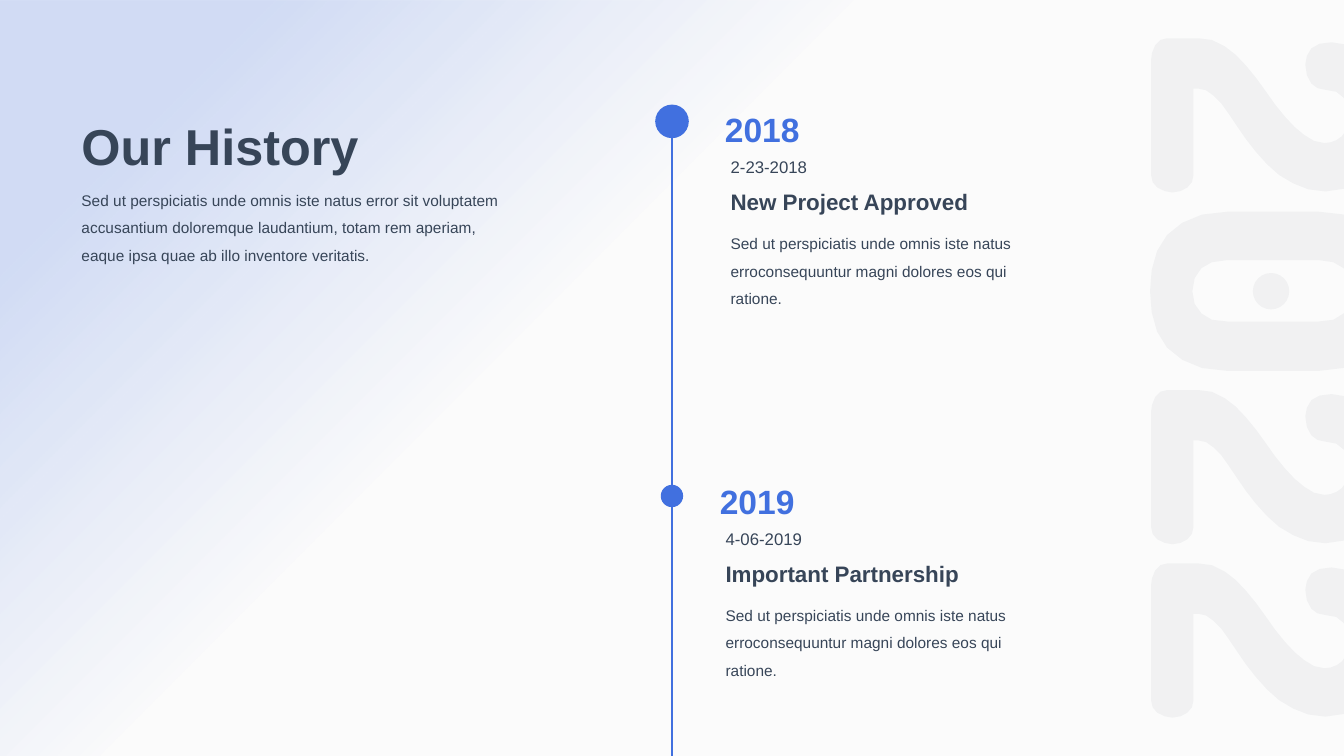
from dataclasses import dataclass
from typing import Iterator, NamedTuple

from lxml.etree import SubElement
from pptx import Presentation
from pptx.dml.color import RGBColor
from pptx.enum.shapes import MSO_CONNECTOR as Connector, MSO_SHAPE as Preset
from pptx.enum.text import MSO_ANCHOR as Anchor, MSO_AUTO_SIZE as AutoSize, PP_ALIGN as Align
from pptx.oxml.ns import qn
from pptx.shapes.base import BaseShape
from pptx.slide import Slide
from pptx.util import Pt

@dataclass(frozen=True)
class Theme:
    background: RGBColor = RGBColor(0xFB, 0xFB, 0xFB)
    accent: RGBColor = RGBColor(0x41, 0x70, 0xDF)
    ink: RGBColor = RGBColor(0x37, 0x45, 0x58)
    font: str = "Arial"
    title: int = 36
    year: int = 24
    heading: int = 16
    date: int = 12
    body: int = 11

THEME = Theme()
WIDTH, HEIGHT, AXIS_X = 960, 540, 480
DIGIT_UNIT = 0.72  # points per outline unit
CURVE_STEPS = 2

class Box(NamedTuple):
    left: float
    top: float
    width: float
    height: float

class Event(NamedTuple):
    left: float
    top: float
    dot_y: float
    dot_size: float
    year: str
    date: str
    heading: str
    detail: str

class TextStyle(NamedTuple):
    size: int
    color: RGBColor = THEME.ink
    bold: bool = False
    line_spacing: float = 1.0
    anchor: Anchor = Anchor.TOP

TITLE_STYLE = TextStyle(THEME.title, bold=True)
BODY_STYLE = TextStyle(THEME.body, line_spacing=1.5)
YEAR_STYLE = TextStyle(THEME.year, THEME.accent, bold=True, anchor=Anchor.BOTTOM)
DATE_STYLE = TextStyle(THEME.date, anchor=Anchor.MIDDLE)
HEADING_STYLE = TextStyle(THEME.heading, bold=True)

INTRO = ("Sed ut perspiciatis unde omnis iste natus error sit voluptatem accusantium doloremque "
         "laudantium, totam rem aperiam, eaque ipsa quae ab illo inventore veritatis.")
DETAIL = "Sed ut perspiciatis unde omnis iste natus erroconsequuntur magni dolores eos qui ratione."
EVENTS = (
    Event(514.8, 74.9, 86.7, 24, "2018", "2-23-2018", "New Project Approved", DETAIL),
    Event(511.2, 340.6, 354.3, 16, "2019", "4-06-2019", "Important Partnership", DETAIL),
)

# Outlines: a start point, then curves (six numbers) or straight lines (two numbers).
Outline = list[tuple[float, ...]]
TWO: Outline = [
    (1383, 115), (1383, 128, 1381, 140, 1375, 151), (1370, 163, 1362, 172, 1352, 179),
    (1341, 186, 1329, 190, 1315, 190), (1303, 190, 1292, 187, 1283, 182), (1273, 177, 1264, 171, 1257, 163),
    (1249, 155, 1242, 146, 1236, 138), (1230, 129, 1224, 121, 1219, 113), (1214, 105, 1209, 99, 1204, 95),
    (1199, 90, 1194, 88, 1189, 88), (1184, 88), (1184, 174), (1184, 179, 1182, 183, 1178, 186),
    (1174, 189, 1169, 191, 1163, 191), (1158, 191, 1153, 189, 1148, 186), (1144, 183, 1142, 179, 1142, 174),
    (1142, 59), (1142, 55, 1143, 51, 1146, 45), (1149, 40, 1153, 38, 1158, 38), (1189, 38),
    (1198, 38, 1207, 40, 1215, 46), (1222, 51, 1230, 57, 1236, 65), (1243, 73, 1250, 82, 1256, 91),
    (1262, 100, 1268, 108, 1275, 116), (1281, 123, 1288, 130, 1294, 134), (1300, 139, 1307, 142, 1314, 142),
    (1318, 142, 1322, 141, 1326, 139), (1330, 137, 1333, 134, 1335, 130), (1338, 126, 1339, 121, 1339, 115),
    (1339, 108, 1337, 102, 1333, 97), (1330, 92, 1323, 89, 1314, 89), (1309, 89, 1305, 87, 1301, 83),
    (1297, 78, 1295, 72, 1295, 64), (1295, 58, 1297, 53, 1301, 48), (1305, 44, 1312, 42, 1321, 42),
    (1334, 42, 1345, 46, 1354, 53), (1364, 59, 1371, 68, 1376, 79), (1381, 91, 1383, 102, 1383, 115),
]
ZERO_OUTER: Outline = [
    (1384, 289), (1384, 303, 1382, 317, 1377, 329), (1372, 341, 1363, 350, 1352, 357),
    (1341, 364, 1326, 368, 1308, 368), (1218, 368), (1199, 368, 1184, 364, 1173, 357),
    (1161, 350, 1153, 341, 1148, 329), (1143, 317, 1141, 303, 1141, 289), (1141, 274, 1143, 261, 1148, 249),
    (1153, 237, 1161, 228, 1173, 221), (1184, 214, 1199, 210, 1218, 210), (1308, 210),
    (1326, 210, 1341, 214, 1352, 220), (1363, 227, 1372, 237, 1377, 249), (1382, 261, 1384, 274, 1384, 289),
]
ZERO_INNER: Outline = [
    (1341, 289), (1341, 279, 1339, 272, 1333, 266), (1328, 261, 1319, 258, 1308, 258), (1218, 258),
    (1206, 258, 1197, 261, 1192, 266), (1186, 272, 1183, 279, 1183, 289), (1183, 298, 1186, 306, 1192, 311),
    (1197, 317, 1206, 319, 1218, 319), (1308, 319), (1319, 319, 1328, 317, 1333, 311),
    (1339, 306, 1341, 298, 1341, 289),
]
DIGITS = (([TWO], 0), ([ZERO_OUTER, ZERO_INNER], 0), ([TWO], 349), ([TWO], 521))

def set_alpha(shape: BaseShape, *percents: int) -> None:
    for color, percent in zip(shape._element.spPr.iter(qn("a:srgbClr")), percents):
        SubElement(color, qn("a:alpha")).set("val", str(percent * 1000))

def paint(shape: BaseShape, color: RGBColor) -> None:
    shape.shadow.inherit = False
    shape.fill.solid()
    shape.fill.fore_color.rgb = color
    shape.line.fill.background()

def write_text(shape: BaseShape, box: Box, text: str, style: TextStyle) -> None:
    shape.left, shape.top, shape.width, shape.height = map(Pt, box)
    frame = shape.text_frame
    frame.word_wrap = True
    frame.auto_size = AutoSize.SHAPE_TO_FIT_TEXT
    frame.vertical_anchor = style.anchor
    paragraph = frame.paragraphs[0]
    paragraph.text = text
    paragraph.alignment = Align.LEFT
    paragraph.line_spacing = style.line_spacing
    paragraph.space_before = Pt(0)
    if shape.is_placeholder:
        properties = paragraph._p.get_or_add_pPr()
        properties.set("marL", "0")
        properties.set("indent", "0")
        SubElement(properties, qn("a:buNone"))
    font = paragraph.font
    font.name, font.size, font.bold = THEME.font, Pt(style.size), style.bold
    font.color.rgb = style.color

def add_text(slide: Slide, box: Box, text: str, style: TextStyle) -> BaseShape:
    shape = slide.shapes.add_textbox(*map(Pt, box))
    write_text(shape, box, text, style)
    return shape

def add_dot(slide: Slide, x: float, y: float, size: float, color: RGBColor) -> BaseShape:
    dot = slide.shapes.add_shape(Preset.OVAL, *map(Pt, (x - size / 2, y - size / 2, size, size)))
    paint(dot, color)
    return dot

def add_gradient(slide: Slide) -> None:
    """Lay a diagonal wash behind everything else."""
    wash = slide.shapes.add_shape(Preset.RECTANGLE, 0, 0, Pt(WIDTH), Pt(HEIGHT))
    paint(wash, THEME.accent)
    wash.fill.gradient()
    wash.fill.gradient_angle = 315
    for stop, position in zip(wash.fill.gradient_stops, (0.13, 0.41)):
        stop.color.rgb, stop.position = THEME.accent, position
    set_alpha(wash, 22, 0)
    slide.shapes._spTree.insert(2, wash._element)

def trace(outline: Outline, offset: float) -> Iterator[tuple[int, int]]:
    """Yield the points of an outline, with its curves cut into short lines."""
    start = outline[0]
    for segment in outline:
        points = [start, *zip(segment[::2], segment[1::2])]
        is_curve = len(points) == 4
        for step in range(1, CURVE_STEPS + 1) if is_curve else (CURVE_STEPS,):
            t = step / CURVE_STEPS
            weights = ((1 - t) ** 3, 3 * t * (1 - t) ** 2, 3 * t * t * (1 - t), t ** 3) if is_curve else (0, 1)
            x, y = (sum(w * point[axis] for w, point in zip(weights, points)) for axis in (0, 1))
            yield Pt(x * DIGIT_UNIT), Pt((y + offset) * DIGIT_UNIT)
        start = points[-1]

def add_digit(slide: Slide, outlines: list[Outline], offset: float) -> None:
    outer, *holes = [list(trace(outline, offset)) for outline in outlines]
    builder = slide.shapes.build_freeform(*outer[0])
    builder.add_line_segments(outer[1:])
    for hole in holes:
        builder.move_to(*hole[0])
        builder.add_line_segments(hole[1:])
    digit = builder.convert_to_shape()
    paint(digit, THEME.ink)
    set_alpha(digit, 5)

def add_axis(slide: Slide) -> None:
    ends = map(Pt, (AXIS_X, EVENTS[0].dot_y, AXIS_X, HEIGHT))
    axis = slide.shapes.add_connector(Connector.STRAIGHT, *ends)
    axis.line.color.rgb, axis.line.width = THEME.accent, Pt(1.75)
    SubElement(axis.line._get_or_add_ln(), qn("a:headEnd")).set("type", "oval")
    SubElement(axis._element.spPr, qn("a:effectLst"))

def add_event(slide: Slide, event: Event) -> None:
    add_dot(slide, AXIS_X, event.dot_y, event.dot_size, THEME.accent)
    left, top, width = event.left, event.top, 236
    frame = add_text(slide, Box(left, top, width, 31.7), event.year, YEAR_STYLE).text_frame
    frame.margin_left = frame.margin_right = frame.margin_top = Pt(3)
    frame.margin_bottom = Pt(0)
    add_text(slide, Box(left, top + 33.4, width, 21.8), event.date, DATE_STYLE)
    add_text(slide, Box(left, top + 55.8, width, 26.6), event.heading, HEADING_STYLE)
    add_text(slide, Box(left, top + 82, width, 65.5), event.detail, BODY_STYLE)

def main() -> None:
    presentation = Presentation()
    presentation.slide_width, presentation.slide_height = Pt(WIDTH), Pt(HEIGHT)
    slide = presentation.slides.add_slide(presentation.slide_layouts[1])
    slide.background.fill.solid()
    slide.background.fill.fore_color.rgb = THEME.background
    add_gradient(slide)
    title, intro = slide.shapes.title, slide.placeholders[1]
    write_text(title, Box(51, 78.5, 317, 51), "Our History", TITLE_STYLE)
    write_text(intro, Box(51, 126, 317, 67), INTRO, BODY_STYLE)
    add_axis(slide)
    for event in EVENTS:
        add_event(slide, event)
    for outlines, offset in DIGITS:
        add_digit(slide, outlines, offset)
    set_alpha(add_dot(slide, 907.9, 208, 26, THEME.ink), 5)
    presentation.save("out.pptx")

if __name__ == "__main__":
    main()
